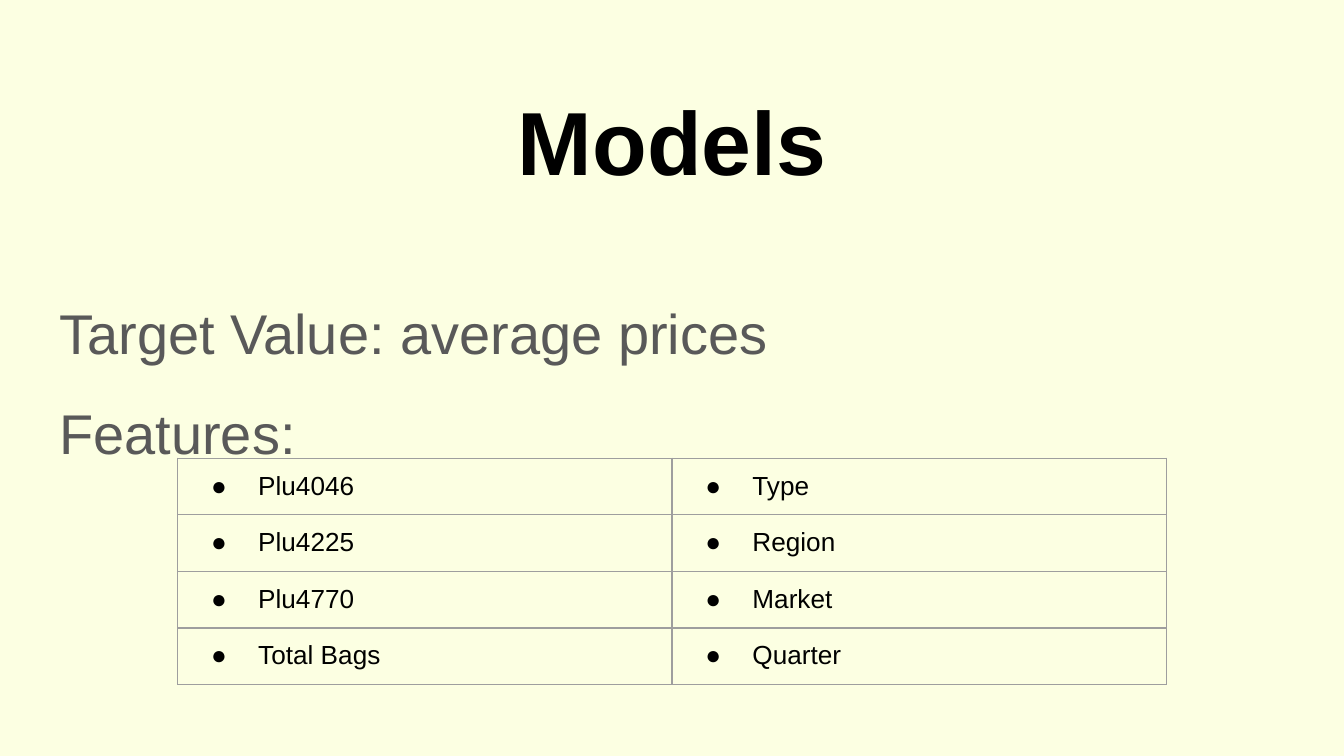
import pptx
import pptx.util
import pptx.dml.color
import pptx.enum.text
import pptx.oxml
import pptx.oxml.ns
import lxml.etree

Cm, Pt = pptx.util.Cm, pptx.util.Pt
Align = pptx.enum.text.PP_ALIGN

# Content
TITLE = "Models"
BODY = ["Target Value: average prices", "Features:"]
ROWS = [
    ("Plu4046", "Type"),
    ("Plu4225", "Region"),
    ("Plu4770", "Market"),
    ("Total Bags", "Quarter"),
]
HUES = {"back": "FCFFE2", "ink": "000000", "grey": "595959", "rule": "9E9E9E"}
FONT = "Arial"
PAD = Cm(0.25)


def hue(name):
    return pptx.dml.color.RGBColor.from_string(HUES[name])


def add(parent, tag, **attrs):
    node = lxml.etree.SubElement(parent, pptx.oxml.ns.qn(tag))
    for key, val in attrs.items():
        node.set(key, str(val))
    return node


def write(par, text, size, color="ink", bold=False, align=Align.LEFT,
          line=1.0, gap=0, bullet=None):
    """Put formatted text in a paragraph, with or without a bullet."""
    par.alignment, par.line_spacing = align, line
    par.space_before = par.space_after = Pt(gap)
    props = par._p.get_or_add_pPr()
    props.set("marL", str(Cm(1.27) if bullet else 0))
    props.set("indent", str(Cm(-0.89) if bullet else 0))
    if bullet:
        add(add(props, "a:buClr"), "a:srgbClr", val=HUES[color])
        add(props, "a:buSzPts", val=size * 100)
        add(props, "a:buFont", typeface=FONT)
        add(props, "a:buChar", char=bullet)
    else:
        add(props, "a:buNone")
    run = par.add_run()
    run.text = text
    font = run.font
    font.name, font.size, font.bold = FONT, Pt(size), bold
    font.color.rgb = hue(color)


def place(shape, top, height):
    """Move a placeholder to the text column and return its frame."""
    shape.left, shape.top = Cm(0.87), Cm(top)
    shape.width, shape.height = Cm(23.67), Cm(height)
    frame = shape.text_frame
    frame.word_wrap = True
    frame.auto_size = pptx.enum.text.MSO_AUTO_SIZE.NONE
    frame.vertical_anchor = pptx.enum.text.MSO_ANCHOR.TOP
    frame.margin_left = frame.margin_right = frame.margin_bottom = PAD
    frame.margin_top = Cm(0.38)
    return frame


def border(cell):
    props = cell._tc.get_or_add_tcPr()
    for side in ("L", "R", "T", "B"):
        line = add(props, "a:ln" + side, w=Pt(0.75))
        add(add(line, "a:solidFill"), "a:srgbClr", val=HUES["rule"])


deck = pptx.Presentation()
deck.slide_width, deck.slide_height = Cm(25.4), Cm(14.29)
slide = deck.slides.add_slide(deck.slide_layouts[1])
slide.background.fill.solid()
slide.background.fill.fore_color.rgb = hue("back")

# Title
head = place(slide.shapes.title, 1.24, 1.6)
write(head.paragraphs[0], TITLE, 48, bold=True, align=Align.CENTER)

# Body
body = place(slide.placeholders[1], 5.08, 7.62)
for i, text in enumerate(BODY):
    par = body.add_paragraph() if i else body.paragraphs[0]
    write(par, text, 30, color="grey", line=1.15, gap=12 if i else 0)

# Feature table
wide, tall = 9.34, 1.07
count = len(ROWS[0])
table = slide.shapes.add_table(len(ROWS), count, Cm(3.36), Cm(8.66),
                               Cm(wide * count), Cm(tall * len(ROWS))).table
table.first_row = table.horz_banding = False
for col in table.columns:
    col.width = Cm(wide)
for r, row in enumerate(ROWS):
    table.rows[r].height = Cm(tall)
    for c, text in enumerate(row):
        cell = table.cell(r, c)
        cell.margin_left = cell.margin_right = PAD
        cell.margin_top = cell.margin_bottom = PAD
        border(cell)
        cell.fill.background()
        write(cell.text_frame.paragraphs[0], text, 14, bullet="●")

deck.save("out.pptx")
